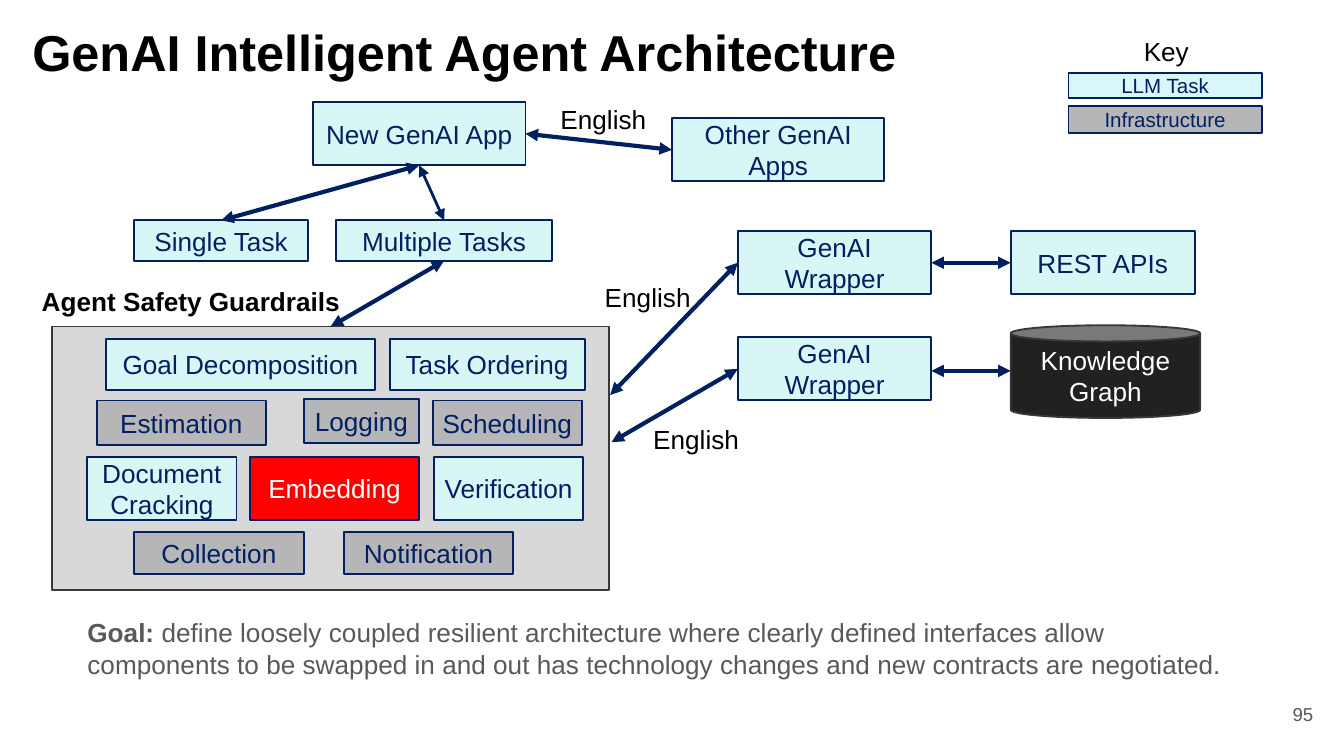
from dataclasses import dataclass
from enum import IntEnum

import lxml.etree
import pptx
import pptx.dml.color
import pptx.enum.shapes
import pptx.enum.text
import pptx.oxml.ns
import pptx.util

Inches = pptx.util.Inches
Align = pptx.enum.text.PP_ALIGN
Anchor = pptx.enum.text.MSO_ANCHOR
Preset = pptx.enum.shapes.MSO_SHAPE


@dataclass(frozen=True)
class Theme:
    font: str = "Arial"
    navy: str = "002060"
    llm: str = "D9F6F7"
    key_llm: str = "D9F6FA"
    infrastructure: str = "B6B6B8"
    alert: str = "FF0000"
    store: str = "212121"
    panel: str = "D8D8D8"
    outline: str = "363839"
    black: str = "000000"
    white: str = "FFFFFF"
    muted: str = "595959"
    title_size: float = 27
    text_size: float = 14
    key_size: float = 11
    number_size: float = 10


THEME = Theme()


class Side(IntEnum):
    """Connection sites of a rectangle."""
    TOP = 0
    LEFT = 1
    BOTTOM = 2
    RIGHT = 3


@dataclass(frozen=True)
class Node:
    text: str
    left: float
    top: float
    width: float
    height: float
    fill: str = THEME.llm
    color: str = THEME.navy
    line: str = THEME.navy
    size: float = THEME.text_size
    preset: int = Preset.RECTANGLE


@dataclass(frozen=True)
class Label:
    text: str
    left: float
    top: float
    width: float
    bold: bool = False


@dataclass(frozen=True)
class Point:
    x: float
    y: float


@dataclass(frozen=True)
class Glue:
    node: Node
    side: Side


@dataclass(frozen=True)
class Link:
    start: Glue | Point
    end: Glue | Point
    weight: float = 2.25


def rgb(value: str) -> pptx.dml.color.RGBColor:
    return pptx.dml.color.RGBColor.from_string(value)


def write(shape, text: str, *, lead: str = "", size: float = THEME.text_size,
          color: str = THEME.black, bold: bool = False, align=Align.LEFT,
          anchor=Anchor.TOP, insets=(0.07, 0.04), line_spacing=None) -> None:
    """Fill a shape with text; lead is a bold opening on the first line."""
    frame = shape.text_frame
    frame.word_wrap = True
    frame.vertical_anchor = anchor
    frame.margin_left = frame.margin_right = Inches(insets[0])
    frame.margin_top = frame.margin_bottom = Inches(insets[1])
    for index, line in enumerate(text.split("\n")):
        paragraph = frame.add_paragraph() if index else frame.paragraphs[0]
        paragraph.alignment = align
        if line_spacing:
            paragraph.line_spacing = line_spacing
        opening = [(lead, True)] if lead and not index else []
        for words, strong in opening + [(line, bold)]:
            run = paragraph.add_run()
            run.text = words
            run.font.name = THEME.font
            run.font.size = pptx.util.Pt(size)
            run.font.bold = strong
            run.font.color.rgb = rgb(color)


def add_text(slide, left: float, top: float, width: float, height: float,
             text: str, **text_format) -> None:
    box = slide.shapes.add_textbox(*map(Inches, (left, top, width, height)))
    write(box, text, **text_format)


def add_node(slide, node: Node):
    place = map(Inches, (node.left, node.top, node.width, node.height))
    shape = slide.shapes.add_shape(node.preset, *place)
    shape.shadow.inherit = False
    shape.fill.solid()
    shape.fill.fore_color.rgb = rgb(node.fill)
    shape.line.color.rgb = rgb(node.line)
    shape.line.width = pptx.util.Pt(1)
    if node.preset == Preset.CAN:
        shape.adjustments[0] = 0.175
    if node.text:
        write(shape, node.text, size=node.size, color=node.color,
              align=Align.CENTER, anchor=Anchor.MIDDLE)
    return shape


def add_link(slide, link: Link, drawn: dict) -> None:
    connector = slide.shapes.add_connector(
        pptx.enum.shapes.MSO_CONNECTOR.STRAIGHT, 0, 0, 0, 0)
    if isinstance(link.start, Point):
        connector.begin_x, connector.begin_y = Inches(link.start.x), Inches(link.start.y)
    else:
        connector.begin_connect(drawn[link.start.node], link.start.side)
    if isinstance(link.end, Point):
        connector.end_x, connector.end_y = Inches(link.end.x), Inches(link.end.y)
    else:
        connector.end_connect(drawn[link.end.node], link.end.side)
    connector.line.color.rgb = rgb(THEME.navy)
    connector.line.width = pptx.util.Pt(link.weight)
    qn = pptx.oxml.ns.qn
    line = connector.line._get_or_add_ln()
    for end in ("a:headEnd", "a:tailEnd"):
        lxml.etree.SubElement(line, qn(end), type="triangle")
    lxml.etree.SubElement(connector._element.spPr, qn("a:effectLst"))


# Applications, tasks and wrapped services
GREY = THEME.infrastructure
new_app = Node("New GenAI App", 2.33, 0.76, 1.58, 0.47)
other_apps = Node("Other GenAI Apps", 5, 0.88, 1.58, 0.47)
single_task = Node("Single Task", 1, 1.64, 1.29, 0.3)
multiple_tasks = Node("Multiple Tasks", 2.5, 1.64, 1.61, 0.3)
api_wrapper = Node("GenAI Wrapper", 5.49, 1.72, 1.44, 0.47)
graph_wrapper = Node("GenAI Wrapper", 5.49, 2.51, 1.44, 0.47)
rest_apis = Node("REST APIs", 7.52, 1.72, 1.37, 0.47)
knowledge_graph = Node("Knowledge\nGraph", 7.52, 2.42, 1.41, 0.69, THEME.store,
                       THEME.white, THEME.outline, preset=Preset.CAN)

# Guardrails panel and its components
guardrails = Node("", 0.39, 2.43, 4.14, 1.96, THEME.panel, line=THEME.outline)
components = [
    Node("Goal Decomposition", 0.79, 2.52, 2, 0.38),
    Node("Task Ordering", 2.9, 2.52, 1.45, 0.38),
    Node("Estimation", 0.72, 2.98, 1.26, 0.33, GREY),
    Node("Logging", 2.26, 2.97, 0.86, 0.33, GREY),
    Node("Scheduling", 3.22, 2.98, 1.11, 0.33, GREY),
    Node("Document Cracking", 0.65, 3.4, 1.11, 0.47),
    Node("Embedding", 1.86, 3.4, 1.26, 0.47, THEME.alert, THEME.white),
    Node("Verification", 3.23, 3.4, 1.11, 0.47),
    Node("Collection", 1, 3.96, 1.26, 0.31, GREY),
    Node("Notification", 2.56, 3.96, 1.26, 0.31, GREY),
]
key = [
    Node("LLM Task", 7.95, 0.54, 1.44, 0.19, THEME.key_llm, size=THEME.key_size),
    Node("Infrastructure", 7.95, 0.79, 1.44, 0.2, GREY, size=THEME.key_size),
]
nodes = [guardrails, new_app, other_apps, single_task, multiple_tasks, api_wrapper,
         graph_wrapper, rest_apis, knowledge_graph, *components, *key]

links = [
    Link(Glue(new_app, Side.RIGHT), Glue(other_apps, Side.LEFT)),
    Link(Glue(single_task, Side.TOP), Glue(new_app, Side.BOTTOM)),
    Link(Glue(multiple_tasks, Side.TOP), Glue(new_app, Side.BOTTOM), 1.5),
    Link(Glue(guardrails, Side.TOP), Glue(multiple_tasks, Side.BOTTOM)),
    Link(Point(4.54, 2.94), Glue(api_wrapper, Side.LEFT)),
    Link(Point(4.55, 3.29), Glue(graph_wrapper, Side.LEFT)),
    Link(Glue(api_wrapper, Side.RIGHT), Glue(rest_apis, Side.LEFT)),
    Link(Point(6.93, 2.76), Point(7.52, 2.76)),
]
labels = [
    Label("English", 4.1, 0.73, 0.8),
    Label("English", 4.43, 2.05, 0.8),
    Label("English", 4.79, 3.11, 0.8),
    Label("Agent Safety Guardrails", 0.24, 2.08, 2.62, bold=True),
    Label("Key", 8.44, 0.22, 0.69),
]


def main() -> None:
    deck = pptx.Presentation()
    # Widescreen, 16 to 9
    deck.slide_width, deck.slide_height = Inches(10), Inches(10 * 9 / 16)
    slide = deck.slides.add_slide(deck.slide_layouts[6])

    # Title, goal and page number
    add_text(slide, 0.24, 0.21, 9.32, 0.63, "GenAI Intelligent Agent Architecture",
             size=THEME.title_size, bold=True, insets=(0, 0), line_spacing=0.9)
    add_text(slide, 0.65, 4.59, 8.62, 0.54,
             " define loosely coupled resilient architecture where clearly defined "
             "interfaces allow components to be swapped in and out has technology "
             "changes and new contracts are negotiated.",
             lead="Goal:", color=THEME.muted, insets=(0, 0))
    add_text(slide, 9.27, 5.1, 0.6, 0.43, "95", size=THEME.number_size,
             color=THEME.muted, align=Align.RIGHT, anchor=Anchor.MIDDLE, insets=(0.1, 0.1))

    # Diagram
    drawn = {node: add_node(slide, node) for node in nodes}
    for link in links:
        add_link(slide, link, drawn)
    for label in labels:
        add_text(slide, label.left, label.top, label.width, 0.31, label.text,
                 bold=label.bold)
    deck.save("out.pptx")


if __name__ == "__main__":
    main()
